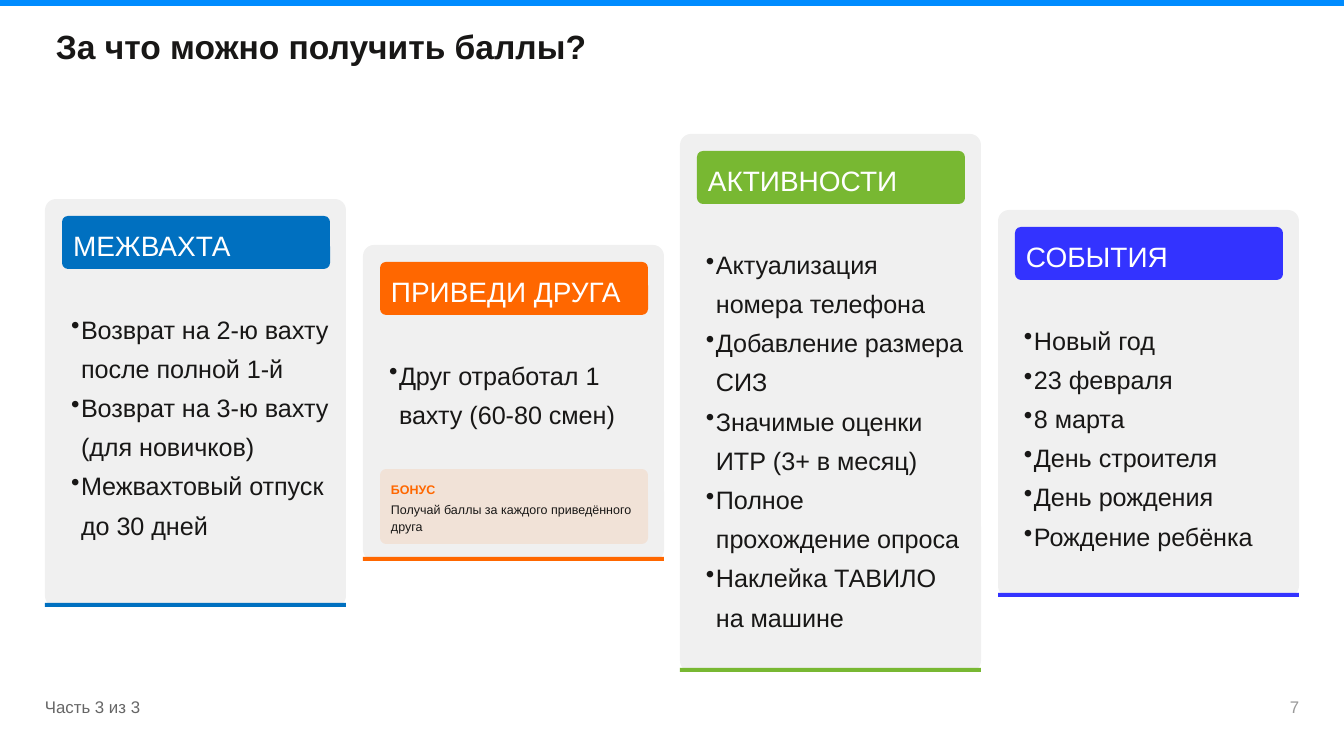
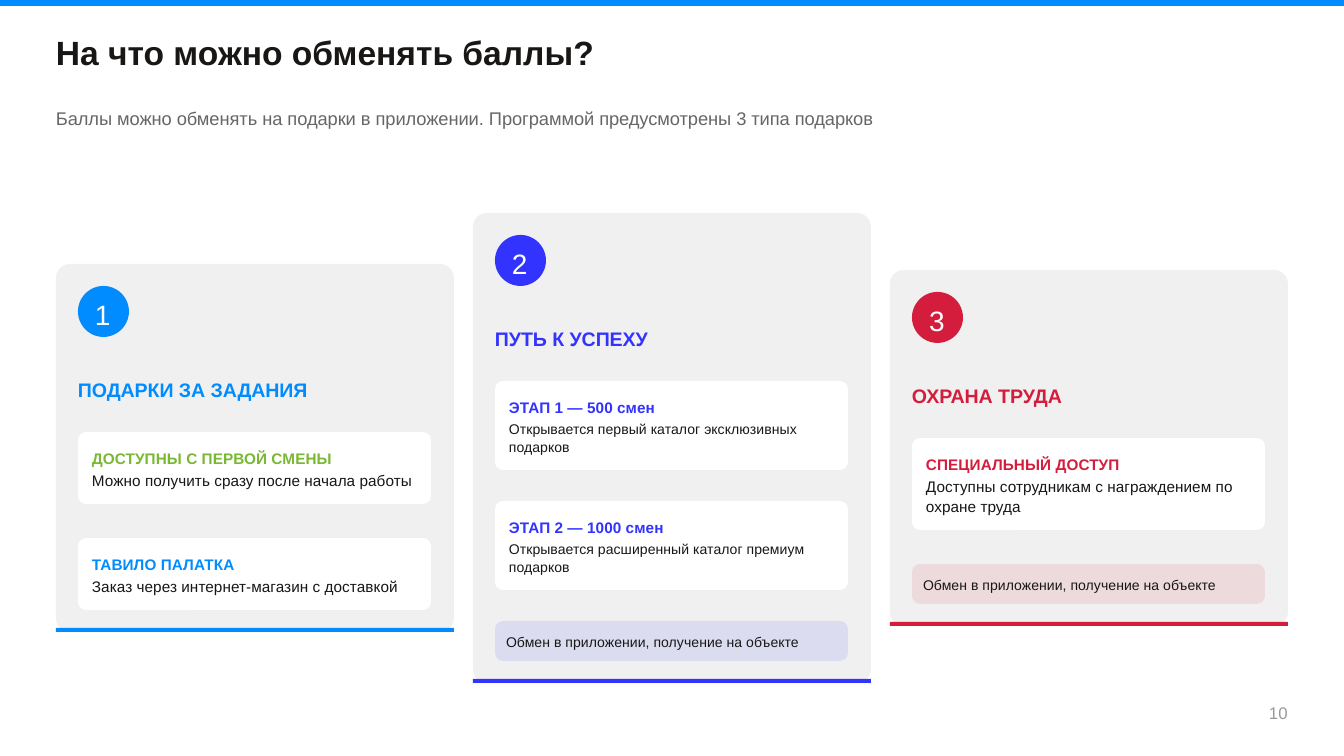
from lxml.etree import SubElement
from pptx import Presentation
from pptx.dml.color import RGBColor
from pptx.enum.shapes import MSO_SHAPE
from pptx.oxml.ns import qn
from pptx.util import Pt

PX = 914400 / 134.4
FONT = "Arial"
WHITE = RGBColor(255, 255, 255)
INK = RGBColor(0x18, 0x17, 0x16)
GREY = RGBColor(0x66, 0x66, 0x66)
PALE = RGBColor(0x99, 0x99, 0x99)
PANEL = RGBColor(0xF0, 0xF0, 0xF0)
SKY = RGBColor(0x00, 0x8C, 0xFF)
BLUE = RGBColor(0x00, 0x70, 0xC0)
ORANGE = RGBColor(0xFF, 0x67, 0x00)
GREEN = RGBColor(0x78, 0xB8, 0x32)
INDIGO = RGBColor(0x33, 0x33, 0xFF)
RED = RGBColor(0xD4, 0x1D, 0x3C)

BAR = 4
TAG = "Обмен в приложении, получение на объекте"

WAYS = [
    (199, 408, BLUE, "МЕЖВАХТА", [
        "Возврат на 2-ю вахту после полной 1-й",
        "Возврат на 3-ю вахту (для новичков)",
        "Межвахтовый отпуск до 30 дней"], None),
    (245, 316, ORANGE, "ПРИВЕДИ ДРУГА", [
        "Друг отработал 1 вахту (60-80 смен)"],
        ("БОНУС", "Получай баллы за каждого приведённого друга")),
    (134, 538, GREEN, "АКТИВНОСТИ", [
        "Актуализация номера телефона",
        "Добавление размера СИЗ",
        "Значимые оценки ИТР (3+ в месяц)",
        "Полное прохождение опроса",
        "Наклейка ТАВИЛО на машине"], None),
    (210, 387, INDIGO, "СОБЫТИЯ", [
        "Новый год", "23 февраля", "8 марта", "День строителя",
        "День рождения", "Рождение ребёнка"], None),
]

GIFTS = [
    (264, 368, SKY, "ПОДАРКИ ЗА ЗАДАНИЯ", 72, 34, 8.25, [
        ("ДОСТУПНЫ С ПЕРВОЙ СМЕНЫ", GREEN,
         "Можно получить сразу после начала работы"),
        ("ТАВИЛО ПАЛАТКА", SKY,
         "Заказ через интернет-магазин с доставкой")], None),
    (213, 470, INDIGO, "ПУТЬ К УСПЕХУ", 89, 31, 7.5, [
        ("ЭТАП 1 — 500 смен", INDIGO,
         "Открывается первый каталог эксклюзивных подарков"),
        ("ЭТАП 2 — 1000 смен", INDIGO,
         "Открывается расширенный каталог премиум подарков")], TAG),
    (270, 356, RED, "ОХРАНА ТРУДА", 92, 34, 8.25, [
        ("СПЕЦИАЛЬНЫЙ ДОСТУП", RED,
         "Доступны сотрудникам с награждением по охране труда")], TAG),
]


def px(n):
    return round(n * PX)


def block(slide, x, y, w, h, color, round_by=0, alpha=None):
    kind = MSO_SHAPE.ROUNDED_RECTANGLE if round_by else MSO_SHAPE.RECTANGLE
    shape = slide.shapes.add_shape(kind, px(x), px(y), px(w), px(h))
    shape.shadow.inherit = False
    shape.line.fill.background()
    shape.fill.solid()
    shape.fill.fore_color.rgb = color
    if round_by:
        shape.adjustments[0] = round(round_by / min(w, h), 3)
    if alpha:
        tint = shape.fill._xPr.find(qn("a:solidFill"))[0]
        SubElement(tint, qn("a:alpha")).set("val", str(alpha * 1000))


def bullet(para, indent):
    props = para._p.get_or_add_pPr()
    props.set("marL", str(px(indent)))
    props.set("indent", str(-px(indent)))
    SubElement(props, qn("a:buChar")).set("char", "•")


def text(slide, words, x, y, w, h, size=9, lead=12.6, color=INK, bold=False,
         before=0, after=0, inset=0, indent=0):
    box = slide.shapes.add_textbox(px(x), px(y), px(w), px(h))
    frame = box.text_frame
    frame.word_wrap = True
    frame.margin_left = px(inset)
    frame.margin_top = frame.margin_right = frame.margin_bottom = 0
    for i, line in enumerate([words] if isinstance(words, str) else words):
        para = frame.add_paragraph() if i else frame.paragraphs[0]
        para.line_spacing = Pt(lead)
        if before:
            para.space_before = Pt(before)
        if after:
            para.space_after = Pt(after)
        if indent:
            bullet(para, indent)
        run = para.add_run()
        run.text = line
        font = run.font
        font.name, font.size, font.bold = FONT, Pt(size), bold
        font.color.rgb = color


def start(deck, title, y):
    slide = deck.slides.add_slide(deck.slide_layouts[6])
    block(slide, 0, 0, 1344, 6, SKY)
    text(slide, title, 56, y, 630, 34, size=18, lead=18, bold=True)
    return slide


def card(slide, x, y, w, h, color, curve):
    block(slide, x, y, w, h, PANEL, curve)
    block(slide, x, y + h - BAR, w, BAR, color)


def bonus(slide, x, y, color, head, body):
    block(slide, x, y, 268, 75, color, 6, alpha=10)
    text(slide, head, x + 11, y + 11, 250, 17, size=6.75, lead=9.4,
         color=color, bold=True)
    text(slide, body, x + 11, y + 32, 250, 32, size=6.75, lead=8.8,
         before=1.5)


def way(slide, x, y, h, color, name, items, extra):
    card(slide, x, y, 301, h, color, 11)
    block(slide, x + 17, y + 17, 268, 53, color, 6)
    text(slide, name, x + 28, y + 24, 250, 39, size=15, lead=21, color=WHITE)
    room = h - (238 if extra else 123)
    text(slide, items, x + 17, y + 106, 268, room, size=13.5, lead=21,
         inset=9, indent=10)
    if extra:
        bonus(slide, x + 17, y + 224, color, *extra)


def gift(slide, num, x, y, h, color, name, tall, gap, size, parts, tag):
    card(slide, x, y, 398, h, color, 14)
    left = x + 22
    block(slide, left, y + 22, 51, 51, color, 25.5)
    text(slide, str(num), left + 17, y + 28, 17, 39, size=15, lead=21,
         color=WHITE)
    text(slide, name, left, y + 110, 360, 27, size=10.5, lead=14.7,
         color=color, bold=True, after=4.5)
    top = y + 168
    for head, tone, body in parts:
        block(slide, left, top, 353, tall, WHITE, 8)
        text(slide, head, left + 14, top + 14, 331, 22, size=8.25, lead=11.6,
             color=tone, bold=True, after=1.5)
        text(slide, body, left + 14, top + 38, 331, tall - 52, size=size,
             lead=size * 1.3)
        top += tall + gap
    if tag:
        block(slide, left, top, 353, 40, color, 8, alpha=10)
        text(slide, tag, left + 11, top + 11, 337, 19, size=7.5, lead=9.8)


def earn(deck):
    slide = start(deck, "За что можно получить баллы?", 33)
    for i, row in enumerate(WAYS):
        way(slide, 45 + round(i * 953 / 3), *row)
    text(slide, "Часть 3 из 3", 45, 693, 98, 23, color=GREY)
    text(slide, "7", 1290, 693, 10, 23, color=PALE)


def spend(deck):
    slide = start(deck, "На что можно обменять баллы?", 39)
    text(slide, "Баллы можно обменять на подарки в приложении. "
         "Программой предусмотрены 3 типа подарков",
         56, 104, 1257, 26, size=9.75, lead=13.7, color=GREY)
    for i, row in enumerate(GIFTS):
        gift(slide, i + 1, 56 + 417 * i, *row)
    text(slide, "10", 1269, 699, 20, 23, color=PALE)


def main():
    deck = Presentation()
    deck.slide_width, deck.slide_height = px(1344), px(756)
    earn(deck)
    spend(deck)
    deck.save("out.pptx")


if __name__ == "__main__":
    main()
